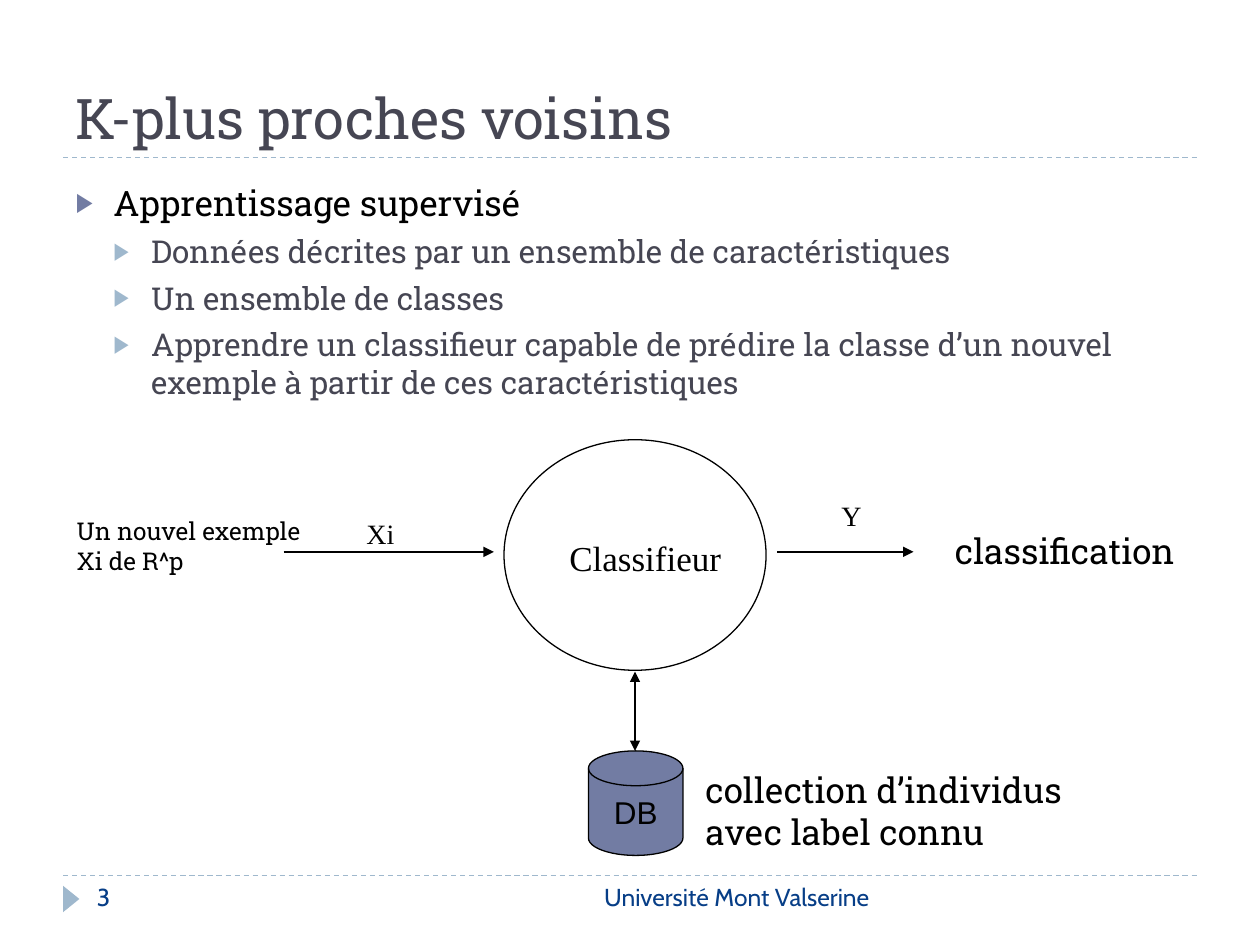
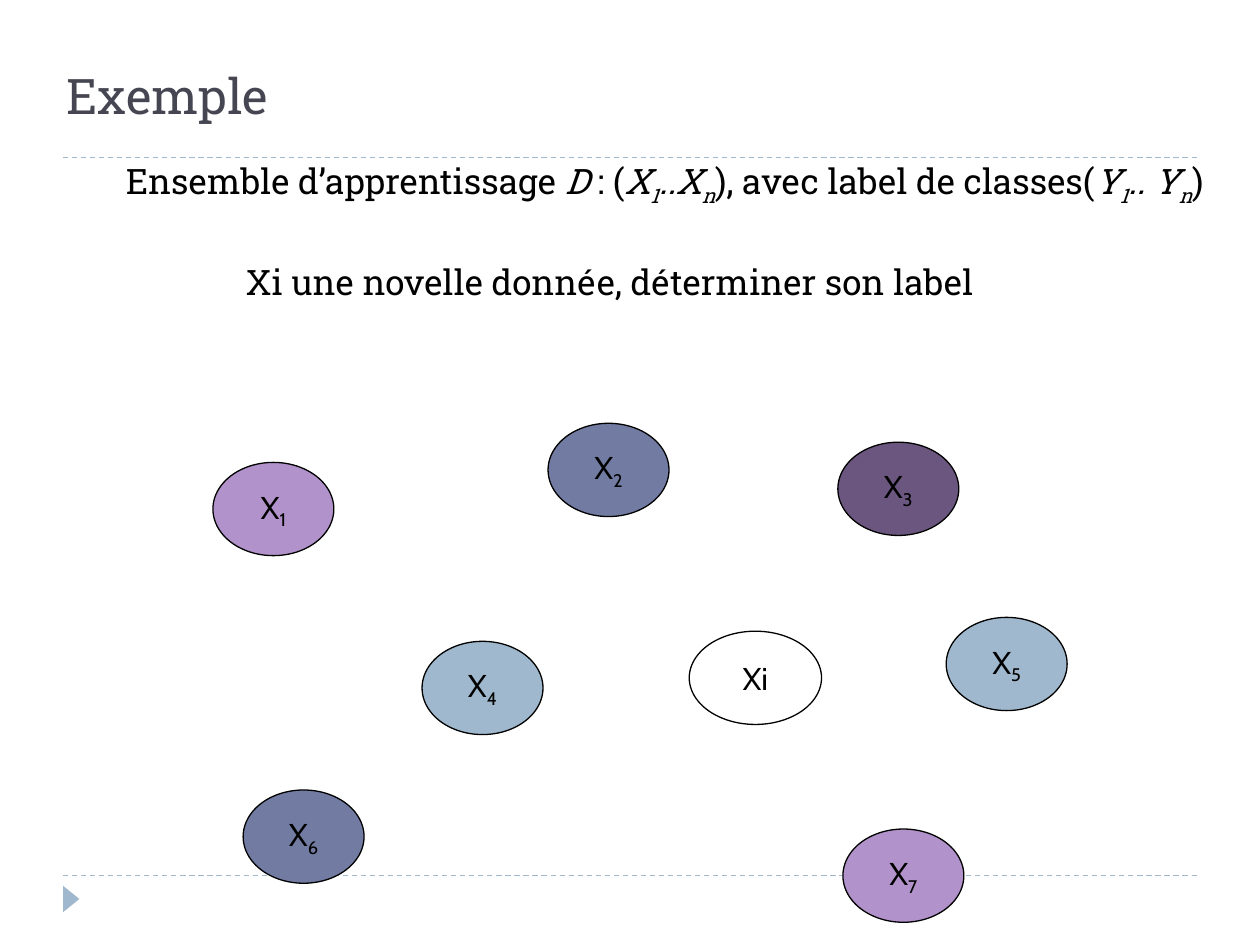
from lxml import etree
from pptx import Presentation
from pptx.dml.color import RGBColor
from pptx.enum import dml, shapes, text
from pptx.oxml import ns
from pptx.util import Inches, Pt

BLACK = RGBColor(0x00, 0x00, 0x00)
SLATE = RGBColor(0x46, 0x46, 0x53)
NAVY = RGBColor(0x07, 0x3E, 0x87)
INDIGO = RGBColor(0x72, 0x7C, 0xA3)
SKY = RGBColor(0x9F, 0xB8, 0xCD)
LILAC = RGBColor(0xB2, 0x92, 0xCA)
PLUM = RGBColor(0x6B, 0x56, 0x80)
SLAB, SANS, SERIF, ARIAL = "Roboto Slab", "Cabin", "Times New Roman", "Arial"
SHAPE, ALIGN, ANCHOR = shapes.MSO_SHAPE, text.PP_ALIGN, text.MSO_ANCHOR


def box(x, y, w, h):
    return Inches(x), Inches(y), Inches(w), Inches(h)


def add_child(parent, tag, **attrs):
    return etree.SubElement(parent, ns.qn(tag), attrs)


def write(p, content, size=20, font=SLAB, color=BLACK, align=ALIGN.LEFT):
    p.alignment = align
    runs = [(content, "")] if isinstance(content, str) else content
    for words, style in runs:
        r = p.add_run()
        r.text = words
        r.font.size, r.font.name = Pt(size), font
        r.font.color.rgb = color
        if "i" in style:
            r.font.italic = True
        if "sub" in style:
            r._r.get_or_add_rPr().set("baseline", "-25000")


def add_text(s, x, y, w, h, *lines, wrap=False, **fmt):
    tf = s.shapes.add_textbox(*box(x, y, w, h)).text_frame
    tf.word_wrap = wrap
    for i, line in enumerate(lines):
        write(tf.add_paragraph() if i else tf.paragraphs[0], line, **fmt)


def add_shape(s, kind, x, y, w, h, fill=None, line=BLACK, label=None, **fmt):
    sp = s.shapes.add_shape(kind, *box(x, y, w, h))
    sp.shadow.inherit = False
    if fill is None:
        sp.fill.background()
    else:
        sp.fill.solid()
        sp.fill.fore_color.rgb = fill
    if line is None:
        sp.line.fill.background()
    else:
        sp.line.color.rgb, sp.line.width = line, Pt(0.75)
    if label:
        tf = sp.text_frame
        tf.word_wrap, tf.vertical_anchor = False, ANCHOR.MIDDLE
        write(tf.paragraphs[0], label, size=18, align=ALIGN.CENTER, **fmt)
    return sp


def add_line(s, x1, y1, x2, y2, color=BLACK, dash=None, ends=()):
    c = s.shapes.add_connector(shapes.MSO_CONNECTOR.STRAIGHT,
                               Inches(x1), Inches(y1), Inches(x2), Inches(y2))
    c.line.color.rgb, c.line.width = color, Pt(0.75)
    if dash:
        c.line.dash_style = dash
    for end in ends:
        add_child(c.line._get_or_add_ln(), end, type="triangle")
    add_child(c._element.spPr, "a:effectLst")


def add_frame(s):
    for y in (6.95, 1.25):
        add_line(s, 0.5, y, 9.5, y, SKY, dml.MSO_LINE.DASH)
    marker = add_shape(s, SHAPE.ISOSCELES_TRIANGLE, 0.46, 7.07, 0.21, 0.13, SKY, None)
    marker.rotation = 90


def add_footer(s, number, name):
    footer = dict(wrap=True, size=14, font=SANS, color=NAVY)
    add_text(s, 3.17, 6.95, 3.83, 0.4, name, align=ALIGN.RIGHT, **footer)
    add_text(s, 0.67, 6.95, 2.17, 0.4, number, **footer)


def set_title(s, title, x, y, w, h, size):
    sp = s.shapes.title
    sp.left, sp.top, sp.width, sp.height = box(x, y, w, h)
    tf = sp.text_frame
    tf.auto_size, tf.vertical_anchor = text.MSO_AUTO_SIZE.NONE, ANCHOR.BOTTOM
    write(tf.paragraphs[0], title, size=size, color=SLATE)


def set_list(s, items, x, y, w, h):
    levels = [(20, BLACK, INDIGO, 6), (18, SLATE, SKY, 5)]
    sp = s.placeholders[1]
    sp.left, sp.top, sp.width, sp.height = box(x, y, w, h)
    tf = sp.text_frame
    tf.auto_size = text.MSO_AUTO_SIZE.NONE
    for i, (level, words) in enumerate(items):
        size, color, bullet, before = levels[level]
        p = tf.paragraphs[0] if i == 0 else tf.add_paragraph()
        p.level, p.space_before = level, Pt(before)
        write(p, words, size=size, color=color)
        pPr = p._p.get_or_add_pPr()
        pPr.set("marL", str(Inches(0.3 * (level + 1))))
        pPr.set("indent", str(-Inches(0.3)))
        add_child(add_child(pPr, "a:buClr"), "a:srgbClr", val=str(bullet))
        add_child(pPr, "a:buSzPct", val="76000")
        add_child(pPr, "a:buFont", typeface=ARIAL)
        add_child(pPr, "a:buChar", char="▶")


def add_classifier_diagram(s, x, y):
    axis, mid = x + 4.54, y + 0.89
    add_shape(s, SHAPE.OVAL, axis - 1.04, y, 2.08, 1.83)
    add_text(s, x + 3.92, y + 0.72, 1.41, 0.44, "Classifieur", font=SERIF)
    for start, end in ((1.75, 3.42), (5.67, 6.75)):
        add_line(s, x + start, mid, x + end, mid, ends=["a:tailEnd"])
    add_text(s, x + 0.01, y + 0.56, 2.05, 0.57, "Un nouvel exemple", "Xi de R^p",
             wrap=True, size=14)
    add_text(s, x + 6.98, y + 0.66, 1.99, 0.44, "classification")
    add_text(s, x + 2.31, y + 0.56, 0.42, 0.37, "Xi", size=16, font=SERIF)
    add_text(s, x + 6.08, y + 0.42, 0.36, 0.37, "Y", size=16, font=SERIF)
    add_shape(s, SHAPE.FLOWCHART_MAGNETIC_DISK, axis - 0.37, y + 2.47, 0.75, 0.83,
              INDIGO, label="DB", font=ARIAL)
    add_line(s, axis, y + 1.84, axis, y + 2.47, ends=["a:headEnd", "a:tailEnd"])
    add_text(s, x + 5, y + 2.56, 3.18, 0.77, "collection d’individus", "avec label connu")


def add_samples(s, x, y):
    samples = [("4", 1.66, 1.73, SKY), ("2", 2.66, 0, INDIGO), ("5", 5.82, 1.54, SKY),
               ("6", 0.24, 2.91, INDIGO), ("7", 5, 3.22, LILAC), ("3", 4.96, 0.15, PLUM),
               ("1", 0, 0.31, LILAC)]
    for index, dx, dy, fill in samples:
        add_shape(s, SHAPE.OVAL, x + dx, y + dy, 0.96, 0.74, fill,
                  label=[("X", ""), (index, "sub")], font=SANS)
    add_shape(s, SHAPE.OVAL, x + 3.78, y + 1.65, 1.05, 0.74, label="Xi", font=SANS)


def add_statement(s, x, y):
    add_text(s, x, y, 9.31, 0.44, [
        ("Ensemble d’apprentissage ", ""), ("D ", "i"), (": (", ""), ("X", "i"),
        ("1", "i sub"), ("..X", "i"), ("n", "i sub"), ("), avec label de classes(", ""),
        ("Y", "i"), ("1", "i sub"), (".. Y", "i"), ("n", "i sub"), (")", "")],
        align=ALIGN.CENTER)
    add_text(s, x + 1.23, y + 0.8, 6.21, 0.44,
             "Xi une novelle donnée, déterminer son label")


def build_method_slide(prs):
    s = prs.slides.add_slide(prs.slide_layouts[1])
    add_frame(s)
    set_title(s, "K-plus proches voisins", 0.5, 0.17, 9, 1.08, 32)
    add_footer(s, "3", "Université Mont Valserine")
    set_list(s, [
        (0, "Apprentissage supervisé"),
        (1, "Données décrites par un ensemble de caractéristiques"),
        (1, "Un ensemble de classes"),
        (1, "Apprendre un classifieur capable de prédire la classe d’un nouvel "
            "exemple à partir de ces caractéristiques")], 0.5, 1.39, 9, 5.4)
    add_classifier_diagram(s, 0.5, 3.49)


def build_example_slide(prs):
    s = prs.slides.add_slide(prs.slide_layouts[5])
    add_frame(s)
    set_title(s, "Exemple", 0.43, 0.21, 9.14, 0.83, 28)
    add_samples(s, 1.69, 3.36)
    add_statement(s, 0.62, 1.22)


prs = Presentation()
prs.slide_width, prs.slide_height = Inches(10), Inches(7.5)
build_method_slide(prs)
build_example_slide(prs)
prs.save("out.pptx")
